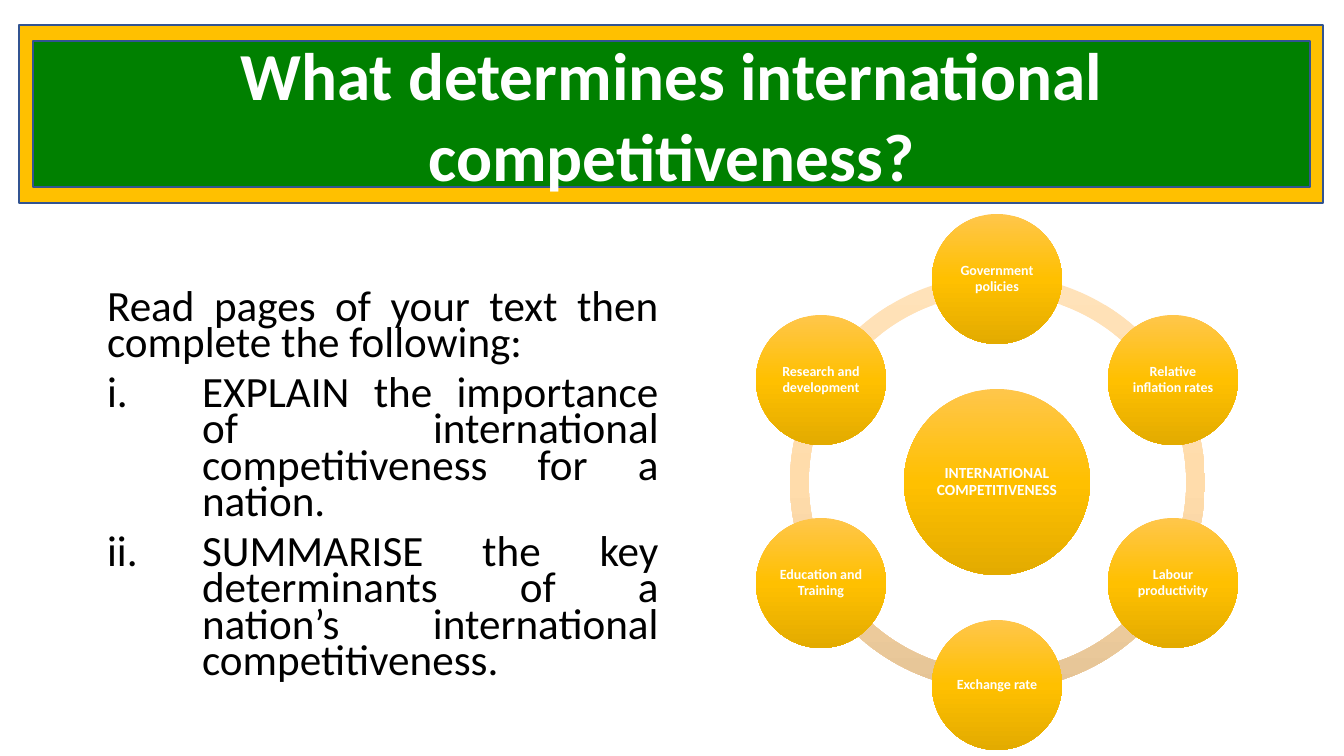
from copy import deepcopy
from dataclasses import dataclass
from math import cos, radians, sin

from lxml.etree import SubElement
from pptx import Presentation
from pptx.dml.color import RGBColor
from pptx.enum.shapes import MSO_SHAPE
from pptx.enum.text import MSO_ANCHOR, MSO_AUTO_SIZE, PP_ALIGN
from pptx.oxml.ns import qn
from pptx.util import Emu, Pt

EMU_PER_PX = 914400 / 100.8
COLOURS = {
    "gold": "FFC000",
    "green": "008000",
    "outline": "325491",
    "white": "FFFFFF",
    "black": "000000",
}
CIRCLE_GRADIENT = ("FFC64B", "FFC000", "E3AB00")
RING_GRADIENT = ("FFE2B9", "FFDCAB", "E5C496")
CENTRE_X, CENTRE_Y = 997, 482
ORBIT = 203
RING_SIZE, CORE_SIZE, NODE_SIZE = 415, 186, 130
STEP = 60


@dataclass
class Box:
    left: int
    top: int
    width: int
    height: int


@dataclass
class Circle:
    text: str
    x: int
    y: int
    diameter: int
    size: float
    inset: int


def px(length: int) -> Emu:
    return Emu(round(length * EMU_PER_PX))


def colour(name: str) -> RGBColor:
    return RGBColor.from_string(COLOURS[name])


def centred(x: int, y: int, size: int) -> Box:
    return Box(x - size // 2, y - size // 2, size, size)


def place(shape, box: Box) -> None:
    shape.left, shape.top = px(box.left), px(box.top)
    shape.width, shape.height = px(box.width), px(box.height)


def add_shape(page, kind, box: Box):
    shape = page.shapes.add_shape(
        kind, px(box.left), px(box.top), px(box.width), px(box.height)
    )
    shape.shadow.inherit = False
    return shape


def paint_panel(shape, fill: str) -> None:
    shape.fill.solid()
    shape.fill.fore_color.rgb = colour(fill)
    shape.line.color.rgb = colour("outline")
    shape.line.width = Pt(1)


def paint_gradient(shape, hexes: tuple[str, ...]) -> None:
    shape.fill.gradient()
    shape.fill.gradient_angle = 270
    stop_list = shape.element.spPr.find(".//" + qn("a:gsLst"))
    stop_list.append(deepcopy(stop_list[0]))
    for index, (stop, code) in enumerate(zip(shape.fill.gradient_stops, hexes)):
        stop.position = index / (len(hexes) - 1)
        stop.color.rgb = RGBColor.from_string(code)
    shape.line.fill.background()


def write(para, text: str, *, size: float, ink: str = "white", bold: bool = False,
          align=PP_ALIGN.CENTER, spacing: float = 1.0, before: float = 0) -> None:
    para.alignment = align
    para.line_spacing = spacing
    para.space_before = Pt(before)
    span = para.add_run()
    span.text = text
    span.font.name = "Calibri"
    span.font.size = Pt(size)
    span.font.bold = bold
    span.font.color.rgb = colour(ink)


def set_list_style(para, indent: int, numbering: str = "") -> None:
    props = para._p.get_or_add_pPr()
    props.set("marL", str(px(indent)))
    props.set("indent", str(-px(indent)))
    if numbering:
        SubElement(props, qn("a:buFont"), typeface="+mj-lt")
        SubElement(props, qn("a:buAutoNum"), type=numbering)
    else:
        SubElement(props, qn("a:buNone"))


def prepare_frame(shape, inset: int | None = None):
    frame = shape.text_frame
    frame.word_wrap = True
    frame.auto_size = MSO_AUTO_SIZE.NONE
    frame.vertical_anchor = MSO_ANCHOR.MIDDLE
    if inset is not None:
        frame.margin_left = frame.margin_right = px(inset)
        frame.margin_top = frame.margin_bottom = px(inset)
    return frame


def add_tasks(page) -> None:
    body = page.placeholders[1]
    place(body, Box(97, 236, 572, 503))
    frame = prepare_frame(body)
    tasks = (
        "Read pages of your text then complete the following:",
        "EXPLAIN the importance of international competitiveness for a nation.",
        "SUMMARISE the key determinants of a nation’s international competitiveness.",
    )
    for index, text in enumerate(tasks):
        para = frame.add_paragraph() if index else frame.paragraphs[0]
        set_list_style(para, 95 if index else 0, "romanLcPeriod" if index else "")
        write(para, text, size=30.8, ink="black", align=PP_ALIGN.JUSTIFY,
              spacing=0.7, before=10 if index else 0)


def add_heading(page) -> None:
    border = add_shape(page, MSO_SHAPE.RECTANGLE, Box(19, 25, 1304, 178))
    paint_panel(border, "gold")
    title = page.shapes.title
    place(title, Box(33, 41, 1277, 146))
    paint_panel(title, "green")
    write(prepare_frame(title).paragraphs[0],
          "What determines international competitiveness?", size=48, bold=True)
    border.element.addnext(title.element)


def add_ring_segment(page, start: int) -> None:
    arc = add_shape(page, MSO_SHAPE.BLOCK_ARC, centred(CENTRE_X, CENTRE_Y, RING_SIZE))
    arc.adjustments[0] = start * 0.6
    arc.adjustments[1] = (start + STEP) % 360 * 0.6
    arc.adjustments[2] = 0.045
    paint_gradient(arc, RING_GRADIENT)


def add_circle(page, circle: Circle) -> None:
    shape = add_shape(page, MSO_SHAPE.OVAL, centred(circle.x, circle.y, circle.diameter))
    paint_gradient(shape, CIRCLE_GRADIENT)
    frame = prepare_frame(shape, circle.inset)
    write(frame.paragraphs[0], circle.text, size=circle.size, bold=True, spacing=0.9)


def add_cycle(page) -> None:
    factors = (
        "Government policies",
        "Relative inflation rates",
        "Labour productivity",
        "Exchange rate",
        "Education and Training",
        "Research and development",
    )
    angles = [(270 + STEP * index) % 360 for index in range(len(factors))]
    for angle in angles:
        add_ring_segment(page, angle)
    add_circle(page, Circle("INTERNATIONAL COMPETITIVENESS",
                            CENTRE_X, CENTRE_Y, CORE_SIZE, 11, 2))
    for text, angle in zip(factors, angles):
        x = CENTRE_X + round(ORBIT * cos(radians(angle)))
        y = CENTRE_Y + round(ORBIT * sin(radians(angle)))
        add_circle(page, Circle(text, x, y, NODE_SIZE, 10, 1))


def main() -> None:
    deck = Presentation()
    deck.slide_width, deck.slide_height = px(1344), px(756)
    page = deck.slides.add_slide(deck.slide_layouts[1])
    add_tasks(page)
    add_heading(page)
    add_cycle(page)
    deck.save("out.pptx")


if __name__ == "__main__":
    main()
